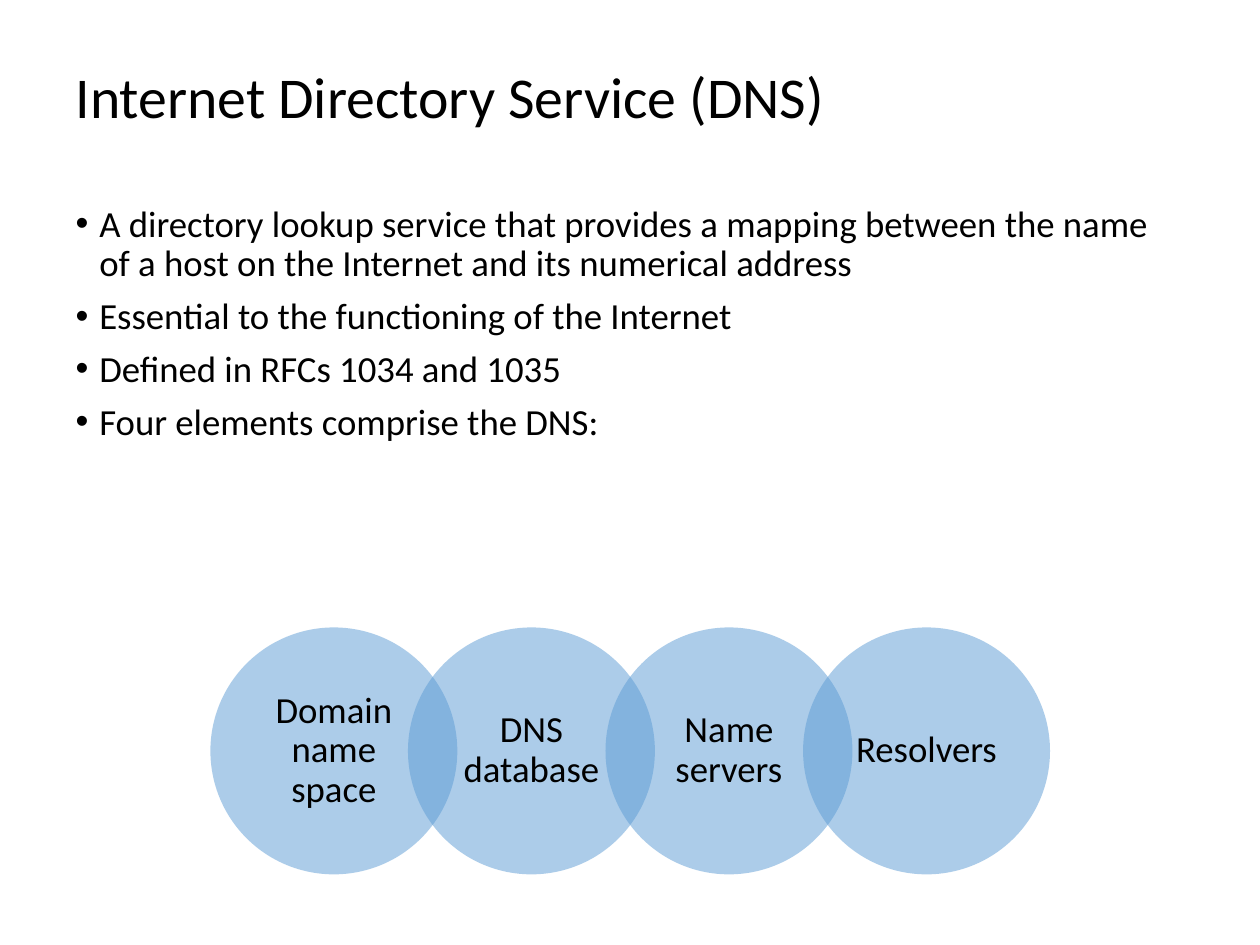
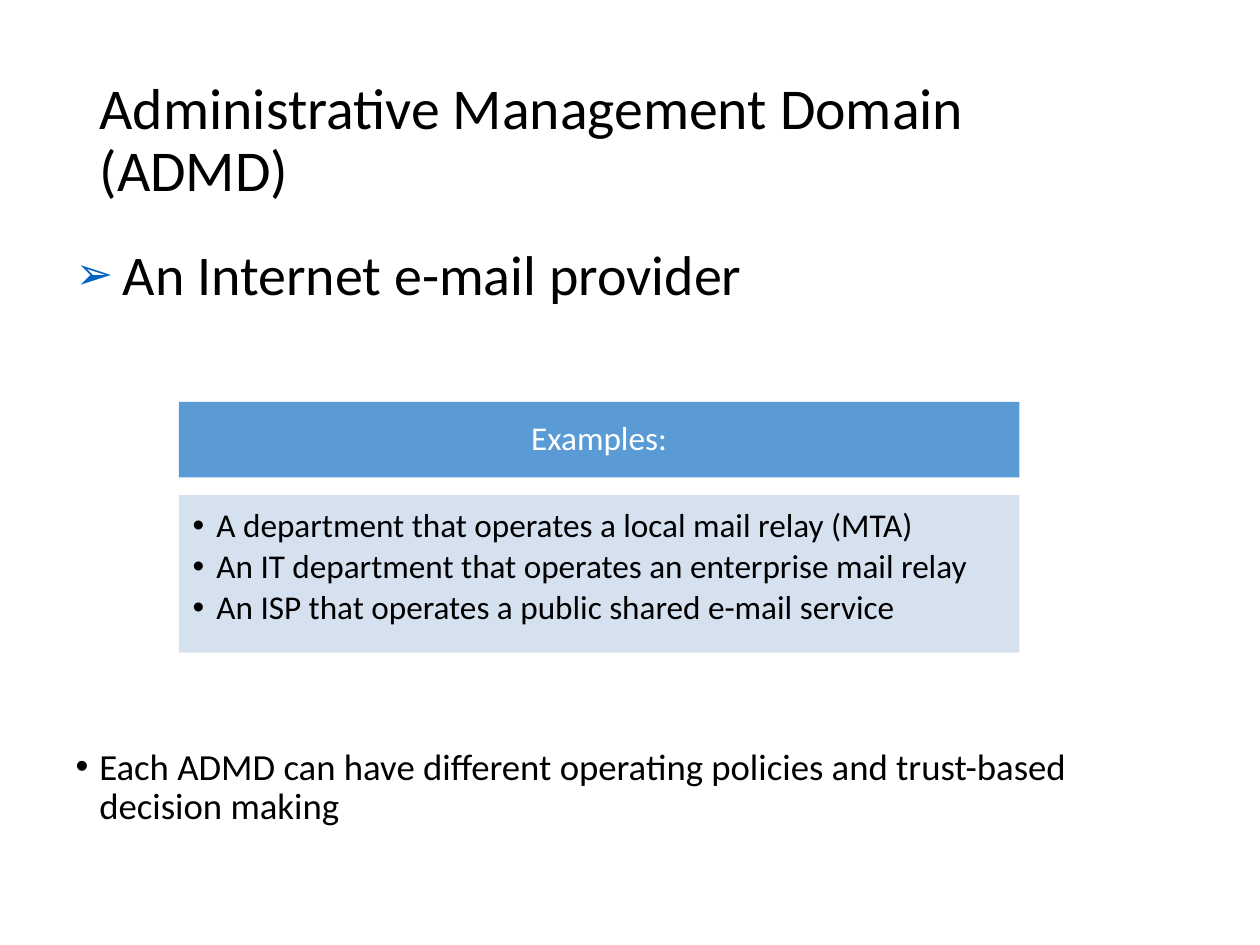
from lxml.etree import SubElement
from pptx import Presentation
from pptx.dml.color import RGBColor
from pptx.enum.shapes import MSO_SHAPE
from pptx.enum.text import MSO_ANCHOR, MSO_AUTO_SIZE, PP_ALIGN
from pptx.oxml.ns import qn
from pptx.util import Inches, Pt

SLIDE_WIDTH, SLIDE_HEIGHT = Inches(10), Inches(7.5)
COLUMN, ROW = SLIDE_WIDTH / 100, SLIDE_HEIGHT / 75

FONT = "Calibri"
BLACK = RGBColor(0x00, 0x00, 0x00)
WHITE = RGBColor(0xFF, 0xFF, 0xFF)
BLUE = RGBColor(0x5B, 0x9B, 0xD5)
PALE_BLUE = RGBColor(0xD2, 0xDE, 0xEF)
LINK_BLUE = RGBColor(0x05, 0x63, 0xC1)

TITLE_SIZE, BODY_SIZE, EXAMPLE_SIZE, LEAD_SIZE = 33, 21, 19, 32
LINE_SPACING = 0.9
BULLET_INDENT = 1.88
LEAD_INDENT = 3.75

DNS_ELEMENTS = ["Domain name space", "DNS database", "Name servers", "Resolvers"]
CIRCLE_SIZE = 19.6
CIRCLE_STEP = 0.8 * CIRCLE_SIZE  # neighbours overlap by a fifth


def grid_box(left, top, width, height):
    """Turn columns and rows of the slide grid into lengths."""
    return (round(left * COLUMN), round(top * ROW),
            round(width * COLUMN), round(height * ROW))


def place(shape, area):
    shape.left, shape.top, shape.width, shape.height = grid_box(*area)


def format_paragraph(paragraph, size, color=BLACK, align=PP_ALIGN.LEFT,
                     before=0, after=0):
    paragraph.alignment = align
    paragraph.line_spacing = LINE_SPACING
    paragraph.space_before = Pt(before)
    paragraph.space_after = Pt(after)
    for run in paragraph.runs:
        run.font.name = FONT
        run.font.size = Pt(size)
        run.font.color.rgb = color


def add_bullet(paragraph, char="•", indent=BULLET_INDENT, color=None, percent=100):
    properties = paragraph._p.get_or_add_pPr()
    hang = round(indent * COLUMN)
    properties.set("marL", str(hang))
    properties.set("indent", str(-hang))
    if color is not None:
        bullet_color = SubElement(properties, qn("a:buClr"))
        SubElement(bullet_color, qn("a:srgbClr"), val=str(color))
    SubElement(properties, qn("a:buSzPct"), val=str(percent * 1000))
    SubElement(properties, qn("a:buFont"), typeface="Arial")
    SubElement(properties, qn("a:buChar"), char=char)


def set_insets(frame, left, top, right, bottom):
    frame.margin_left, frame.margin_top = Inches(left), Inches(top)
    frame.margin_right, frame.margin_bottom = Inches(right), Inches(bottom)


def add_titled_slide(deck, title_text, title_area, body_area):
    """Add a slide with its title; return it with its body text frame."""
    slide = deck.slides.add_slide(deck.slide_layouts[1])
    title, body = slide.shapes.title, slide.placeholders[1]
    place(title, title_area)
    place(body, body_area)
    for placeholder in (title, body):
        placeholder.text_frame.auto_size = MSO_AUTO_SIZE.NONE
    title.text_frame.text = title_text
    title.text_frame.vertical_anchor = MSO_ANCHOR.MIDDLE
    format_paragraph(title.text_frame.paragraphs[0], TITLE_SIZE)
    return slide, body.text_frame


def add_panel(slide, preset, area, fill, opacity=100):
    """Add a filled, unlined shape and return its text frame."""
    panel = slide.shapes.add_shape(preset, *grid_box(*area))
    panel.shadow.inherit = False
    panel.line.fill.background()
    panel.fill.solid()
    panel.fill.fore_color.rgb = fill
    if opacity < 100:
        fill_color = panel._element.spPr.find(qn("a:solidFill"))[0]
        SubElement(fill_color, qn("a:alpha"), val=str(opacity * 1000))
    panel.text_frame.word_wrap = True
    return panel.text_frame


def add_label(frame, text, size, color):
    frame.text = text
    frame.vertical_anchor = MSO_ANCHOR.MIDDLE
    format_paragraph(frame.paragraphs[0], size, color, PP_ALIGN.CENTER)


def fill_list(frame, items, size, before=0, after=0):
    frame.text = "\n".join(items)
    for index, paragraph in enumerate(frame.paragraphs):
        add_bullet(paragraph)
        format_paragraph(paragraph, size, before=before if index else 0, after=after)


def build_dns_slide(deck):
    slide, body = add_titled_slide(
        deck, "Internet Directory Service (DNS)",
        (5, 1.7, 90, 12.5), (5, 15.8, 90, 33.5))
    fill_list(body, [
        "A directory lookup service that provides a mapping between the name "
        "of a host on the Internet and its numerical address",
        "Essential to the functioning of the Internet",
        "Defined in RFCs 1034 and 1035",
        "Four elements comprise the DNS:",
    ], BODY_SIZE, before=7.5)
    for index, element in enumerate(DNS_ELEMENTS):
        area = (16.7 + index * CIRCLE_STEP, 49.8, CIRCLE_SIZE, CIRCLE_SIZE)
        circle = add_panel(slide, MSO_SHAPE.OVAL, area, BLUE, opacity=50)
        set_insets(circle, 0.11, 0.03, 0.11, 0.03)
        add_label(circle, element, BODY_SIZE, BLACK)


def build_admd_slide(deck):
    slide, body = add_titled_slide(
        deck, "Administrative Management Domain (ADMD)",
        (6.9, 4, 86.2, 14.5), (5, 19.1, 90, 53.5))
    body.text = ("An Internet e-mail provider\n"
                 "Each ADMD can have different operating policies and "
                 "trust-based decision making")
    lead, remark = body.paragraphs
    add_bullet(lead, "➢", LEAD_INDENT, LINK_BLUE, 80)
    format_paragraph(lead, LEAD_SIZE)
    add_bullet(remark)
    format_paragraph(remark, BODY_SIZE, before=252)  # leaves room for the examples

    heading = add_panel(slide, MSO_SHAPE.RECTANGLE, (14.2, 31.9, 66.7, 6), BLUE)
    add_label(heading, "Examples:", EXAMPLE_SIZE, WHITE)
    examples = add_panel(slide, MSO_SHAPE.RECTANGLE, (14.2, 39.3, 66.7, 12.5),
                         PALE_BLUE, opacity=90)
    set_insets(examples, 0.11, 0.11, 0.15, 0.17)
    examples.vertical_anchor = MSO_ANCHOR.TOP
    fill_list(examples, [
        "A department that operates a local mail relay (MTA)",
        "An IT department that operates an enterprise mail relay",
        "An ISP that operates a public shared e-mail service",
    ], EXAMPLE_SIZE, after=2.85)


def main():
    deck = Presentation()
    deck.slide_width, deck.slide_height = SLIDE_WIDTH, SLIDE_HEIGHT
    build_dns_slide(deck)
    build_admd_slide(deck)
    deck.save("out.pptx")


if __name__ == "__main__":
    main()
